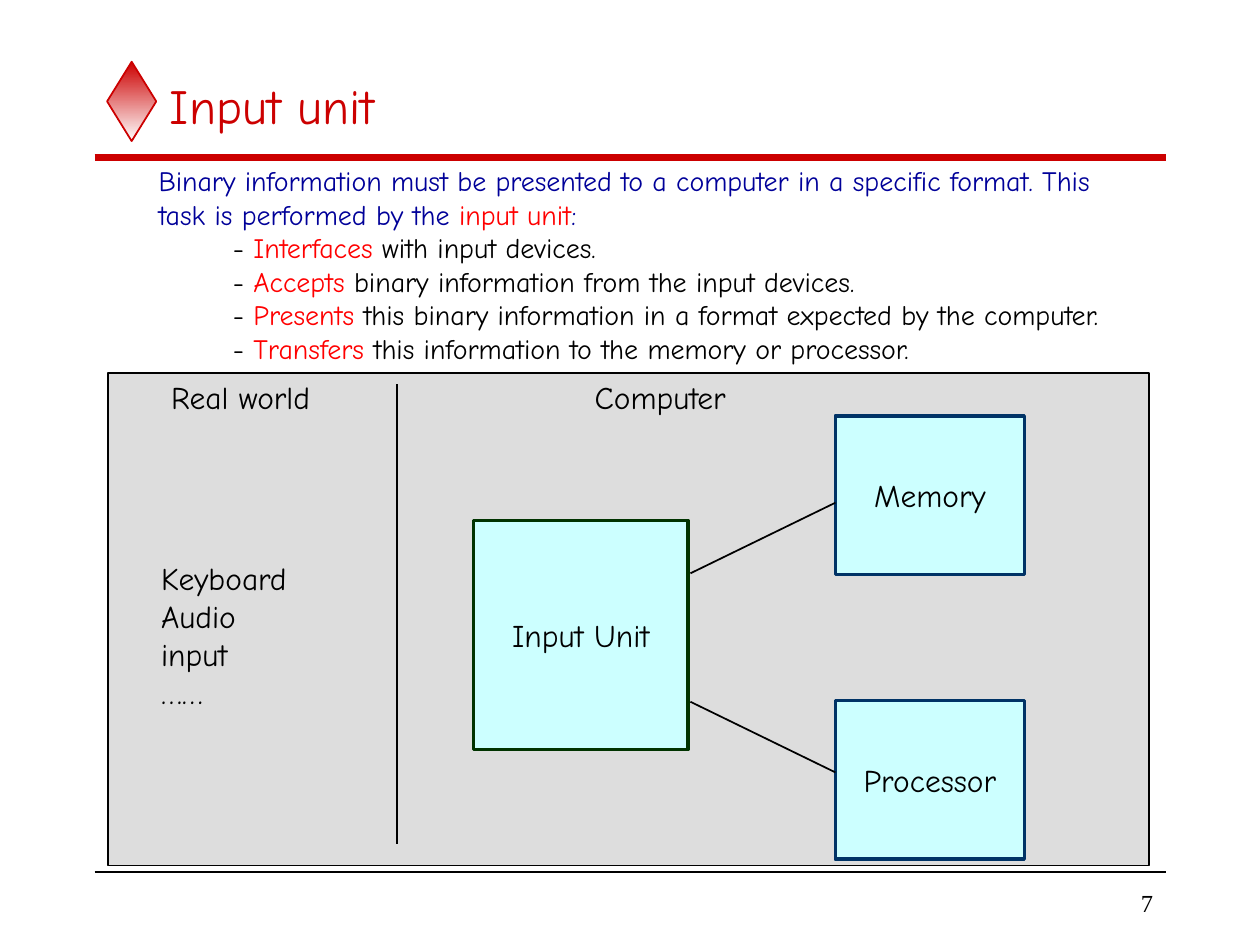
from dataclasses import dataclass

import pptx
import pptx.dml.color
import pptx.enum.shapes
import pptx.enum.text
import pptx.oxml.ns
import pptx.slide
import pptx.util
from lxml import etree

Inches = pptx.util.Inches
RGBColor = pptx.dml.color.RGBColor
Align = pptx.enum.text.PP_ALIGN
Anchor = pptx.enum.text.MSO_ANCHOR
Shape = pptx.enum.shapes.MSO_SHAPE

BLACK = RGBColor(0x00, 0x00, 0x00)
WHITE = RGBColor(0xFF, 0xFF, 0xFF)
CRIMSON = RGBColor(0xCC, 0x00, 0x00)
RED = RGBColor(0xFF, 0x00, 0x00)
NAVY = RGBColor(0x00, 0x00, 0x99)
GRAY = RGBColor(0xDD, 0xDD, 0xDD)
CYAN = RGBColor(0xCC, 0xFF, 0xFF)
GREEN = RGBColor(0x00, 0x33, 0x00)
BLUE = RGBColor(0x00, 0x33, 0x66)


@dataclass
class Span:
    text: str
    color: RGBColor = BLACK


@dataclass
class Line:
    spans: list[Span]
    indent: float = 0


@dataclass
class Label:
    area: tuple[float, float, float, float]
    lines: list[Line]
    size: int = 18
    font: str = "Comic Neue"
    align: Align = Align.LEFT
    anchor: Anchor = Anchor.TOP


@dataclass
class Block:
    area: tuple[float, float, float, float]
    fill: RGBColor
    border: RGBColor
    weight: float
    name: str = ""


@dataclass
class Rule:
    start: tuple[float, float]
    end: tuple[float, float]
    color: RGBColor = BLACK
    weight: float = 1


def plain(text: str, color: RGBColor = BLACK) -> Line:
    return Line([Span(text, color)])


def duty(verb: str, rest: str) -> Line:
    return Line([Span("- "), Span(verb, RED), Span(rest)], 0.59)


def write_text(frame, label: Label) -> None:
    frame.word_wrap = False
    frame.vertical_anchor = label.anchor
    for index, line in enumerate(label.lines):
        para = frame.paragraphs[0] if index == 0 else frame.add_paragraph()
        para.alignment = label.align
        if line.indent:
            para._p.get_or_add_pPr().set("marL", str(Inches(line.indent)))
        for span in line.spans:
            run = para.add_run()
            run.text = span.text
            run.font.name = label.font
            run.font.size = pptx.util.Pt(label.size)
            run.font.color.rgb = span.color


def draw_label(page: pptx.slide.Slide, label: Label) -> None:
    box = page.shapes.add_textbox(*map(Inches, label.area))
    write_text(box.text_frame, label)


def draw_block(page: pptx.slide.Slide, block: Block) -> None:
    box = page.shapes.add_shape(Shape.RECTANGLE, *map(Inches, block.area))
    box.shadow.inherit = False
    box.fill.solid()
    box.fill.fore_color.rgb = block.fill
    box.line.color.rgb = block.border
    box.line.width = pptx.util.Pt(block.weight)
    if block.name:
        label = Label(block.area, [plain(block.name)], align=Align.CENTER, anchor=Anchor.MIDDLE)
        write_text(box.text_frame, label)


def draw_rule(page: pptx.slide.Slide, rule: Rule) -> None:
    connector = page.shapes.add_connector(
        pptx.enum.shapes.MSO_CONNECTOR.STRAIGHT, *map(Inches, rule.start + rule.end)
    )
    connector.line.color.rgb = rule.color
    connector.line.width = pptx.util.Pt(rule.weight)
    etree.SubElement(connector._element.spPr, pptx.oxml.ns.qn("a:effectLst"))


def draw_diamond(page: pptx.slide.Slide) -> None:
    diamond = page.shapes.add_shape(Shape.DIAMOND, *map(Inches, (0.85, 0.49, 0.39, 0.63)))
    diamond.shadow.inherit = False
    diamond.fill.gradient()
    diamond.fill.gradient_angle = 270
    for stop, color, position in zip(diamond.fill.gradient_stops, (CRIMSON, WHITE), (0, 1)):
        stop.color.rgb = color
        stop.position = position
    diamond.line.color.rgb = CRIMSON
    diamond.line.width = pptx.util.Pt(1)


BLOCKS = [
    Block((0.86, 2.96, 8.26, 3.91), GRAY, BLACK, 1),
    Block((3.76, 4.13, 1.7, 1.82), CYAN, GREEN, 2, "Input Unit"),
    Block((6.63, 5.56, 1.5, 1.26), CYAN, BLUE, 2, "Processor"),
    Block((6.63, 3.3, 1.5, 1.26), CYAN, BLUE, 2, "Memory"),
]

RULES = [
    Rule((0.75, 1.25), (9.25, 1.25), CRIMSON, 4),
    Rule((0.75, 6.92), (9.25, 6.92)),
    Rule((5.48, 4.55), (6.63, 3.99)),
    Rule((5.48, 5.57), (6.63, 6.13)),
    Rule((3.15, 3.05), (3.15, 6.7)),
]

SUMMARY = [
    plain("Binary information must be presented to a computer in a specific format. This", NAVY),
    Line([Span("task is performed by the ", NAVY), Span("input unit", RED), Span(":", NAVY)]),
    duty("Interfaces", " with input devices."),
    duty("Accepts", " binary information from the input devices."),
    duty("Presents", " this binary information in a format expected by the computer."),
    duty("Transfers", " this information to the memory or processor."),
]

LABELS = [
    Label((1.25, 0.5, 8, 0.67), [plain("Input unit", CRIMSON)], 28, anchor=Anchor.MIDDLE),
    Label((1.16, 1.25, 7.71, 1.7), SUMMARY, 16),
    Label((1.26, 2.95, 1.31, 0.4), [plain("Real world")]),
    Label((4.62, 2.95, 1.25, 0.4), [plain("Computer")]),
    Label((1.18, 4.39, 1.4, 1.3), [plain(text) for text in ("Keyboard", "Audio input", "……")]),
    Label((7.83, 7, 1.42, 0.33), [plain("7")], 14, "Times New Roman", Align.RIGHT, Anchor.MIDDLE),
]


def main() -> None:
    """Build the input unit slide and save it."""
    deck = pptx.Presentation()
    deck.slide_width, deck.slide_height = Inches(10), Inches(7.5)
    page = deck.slides.add_slide(deck.slide_layouts[6])
    draw_diamond(page)
    for block in BLOCKS:
        draw_block(page, block)
    for rule in RULES:
        draw_rule(page, rule)
    for label in LABELS:
        draw_label(page, label)
    deck.save("out.pptx")


if __name__ == "__main__":
    main()
